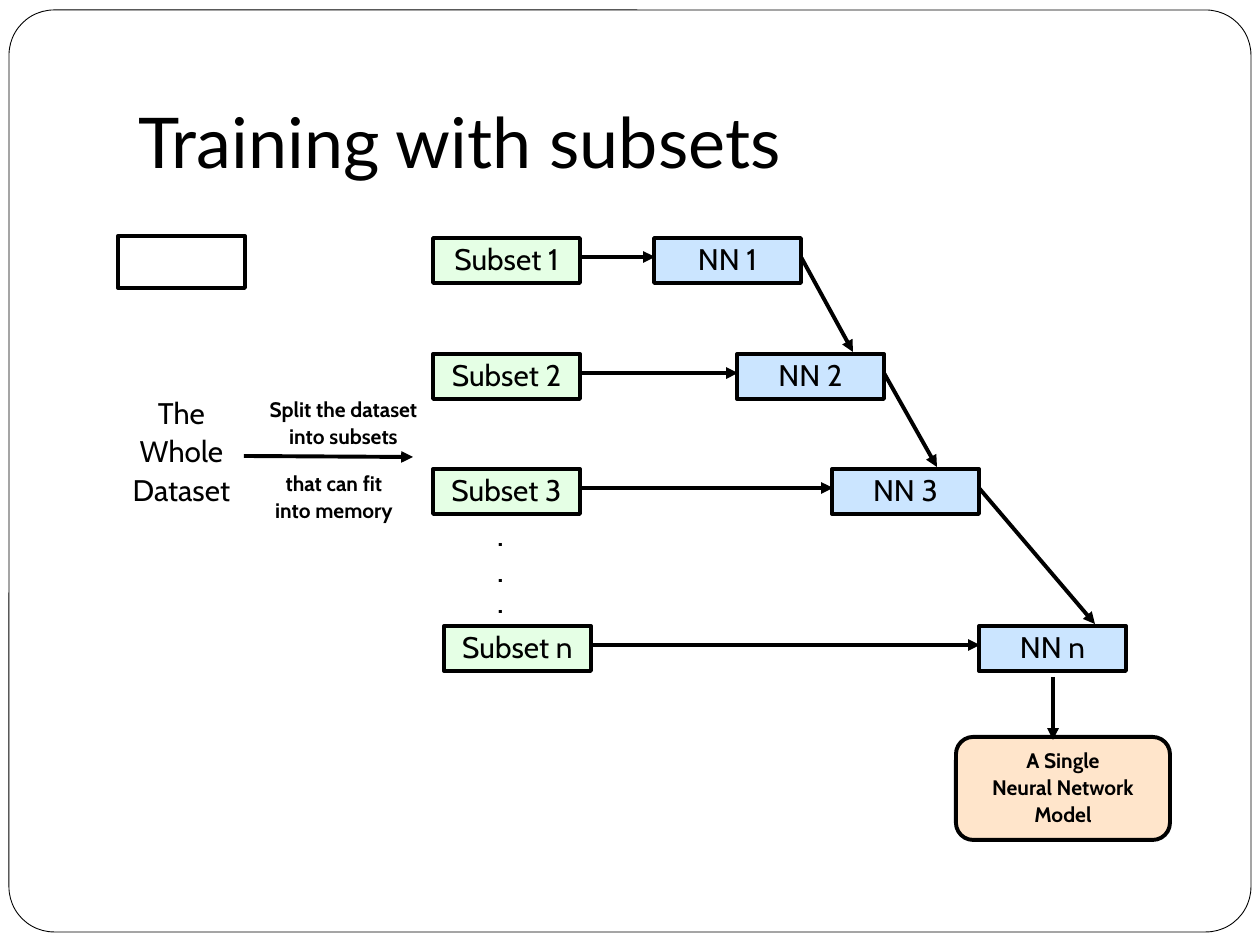
from lxml import etree
from pptx import Presentation, util as u
from pptx.dml.color import RGBColor
from pptx.enum import shapes, text
from pptx.oxml.ns import qn

PX = 914400 / 126
COLORS = {"ink": "000000", "subset": "CCFFCC", "network": "99CCFF", "model": "FFCC99"}
LABEL = {"name": "Cabin", "size": u.Pt(17), "bold": False}
NOTE = {"name": "Cabin", "size": u.Pt(12), "bold": True}
DOT = {"name": "Cabin", "size": u.Pt(20), "bold": False}
TITLE = {"name": "Lato", "size": u.Pt(40), "bold": False}
BOX_W, BOX_H = 147, 45
ARROW_DY = 19


def px(*values):
    return [u.Emu(round(v * PX)) for v in values]


def rgb(name):
    return RGBColor.from_string(COLORS[name])


def write(tf, lines, font, align=text.PP_ALIGN.CENTER, spacing=0.9):
    for i, line in enumerate(lines):
        p = tf.paragraphs[0] if i == 0 else tf.add_paragraph()
        p.alignment, p.line_spacing = align, spacing
        if i:
            p.space_before = u.Pt(round(font["size"].pt * 0.2, 1))
        r = p.add_run()
        r.text = line
        for key, value in font.items():
            setattr(r.font, key, value)
        r.font.color.rgb = rgb("ink")


def add_text(s, box, lines, font, wrap=True):
    tf = s.shapes.add_textbox(*px(*box)).text_frame
    tf.word_wrap = wrap
    write(tf, lines, font)


def add_box(s, box, fill=None, lines=(), font=LABEL, rounding=None, weight=2.25):
    kinds = shapes.MSO_SHAPE
    kind = kinds.RECTANGLE if rounding is None else kinds.ROUNDED_RECTANGLE
    sp = s.shapes.add_shape(kind, *px(*box))
    sp.shadow.inherit = False
    if rounding is not None:
        sp.adjustments[0] = rounding
    if fill:
        sp.fill.solid()
        sp.fill.fore_color.rgb = rgb(fill)
        # Half-transparent fill
        color = sp.fill._xPr.find(".//" + qn("a:srgbClr"))
        etree.SubElement(color, qn("a:alpha"), val="50000")
    else:
        sp.fill.background()
    sp.line.color.rgb = rgb("ink")
    sp.line.width = u.Pt(weight)
    sp.text_frame.vertical_anchor = text.MSO_ANCHOR.MIDDLE
    write(sp.text_frame, lines, font)


def add_arrow(s, x1, y1, x2, y2):
    c = s.shapes.add_connector(shapes.MSO_CONNECTOR.STRAIGHT, *px(x1, y1, x2, y2))
    c.line.color.rgb = rgb("ink")
    c.line.width = u.Pt(2.25)
    etree.SubElement(c.line._get_or_add_ln(), qn("a:tailEnd"), type="triangle")
    etree.SubElement(c._element.spPr, qn("a:effectLst"))


def frame_and_title(s, x, y, w, h):
    add_box(s, (x, y, w, h), rounding=0.049, weight=0.5)
    tf = s.shapes.add_textbox(*px(x + 117, y - 1, 1071, 186)).text_frame
    tf.word_wrap = True
    tf.vertical_anchor = text.MSO_ANCHOR.BOTTOM
    tf.margin_bottom = u.Inches(0.1)
    write(tf, ["Training with subsets"], TITLE, text.PP_ALIGN.LEFT, 1.24)


def dataset(s, x, y, w, h):
    add_box(s, (x, y, w, 52))
    add_text(s, (x, y + 157, w, 123), ["The", "Whole", "Dataset"], LABEL)


def split_step(s, x, y, w, h):
    add_text(s, (x, y, w, 63), ["Split the dataset", "into subsets"], NOTE)
    add_arrow(s, x, y + 63, x + 169, y + 64)
    add_text(s, (x + 10, y + 74, 160, 63), ["that can fit", "into memory"], NOTE, False)


def training_chain(s, x, y, w, h):
    # Name, row top, subset left, network left, where the incoming arrow ends
    rows = [("1", 0, 0, 221, None), ("2", 116, 0, 304, 420),
            ("3", 231, 0, 399, 504), ("n", 388, 11, 546, 662)]
    previous = None
    for name, dy, subset_x, network_x, tip_x in rows:
        top, left, right = y + dy, x + subset_x, x + network_x
        add_box(s, (left, top, BOX_W, BOX_H), "subset", [f"Subset {name}"])
        add_box(s, (right, top, BOX_W, BOX_H), "network", [f"NN {name}"])
        add_arrow(s, left + BOX_W, top + ARROW_DY, right + 1, top + ARROW_DY)
        if previous:
            add_arrow(s, *previous, x + tip_x, top - 2)
        previous = right + BOX_W, top + ARROW_DY
    # Dots standing for the rows left out
    for dy in (272, 308, 339):
        add_text(s, (x + 50, y + dy, 35, 50), ["."], DOT)


def final_model(s, x, y, w, h):
    add_box(s, (x, y + 60, w, h - 60), "model",
            ["A Single", "Neural Network", "Model"], NOTE, 0.167)
    add_arrow(s, x + 97, y, x + 97, y + 63)


def main():
    prs = Presentation()
    prs.slide_width, prs.slide_height = px(1260, 945)
    s = prs.slides.add_slide(prs.slide_layouts[6])
    frame_and_title(s, 9, 10, 1242, 922)
    dataset(s, 118, 236, 127, 280)
    split_step(s, 244, 393, 199, 137)
    training_chain(s, 433, 238, 693, 433)
    final_model(s, 956, 677, 214, 163)
    prs.save("out.pptx")


if __name__ == "__main__":
    main()
